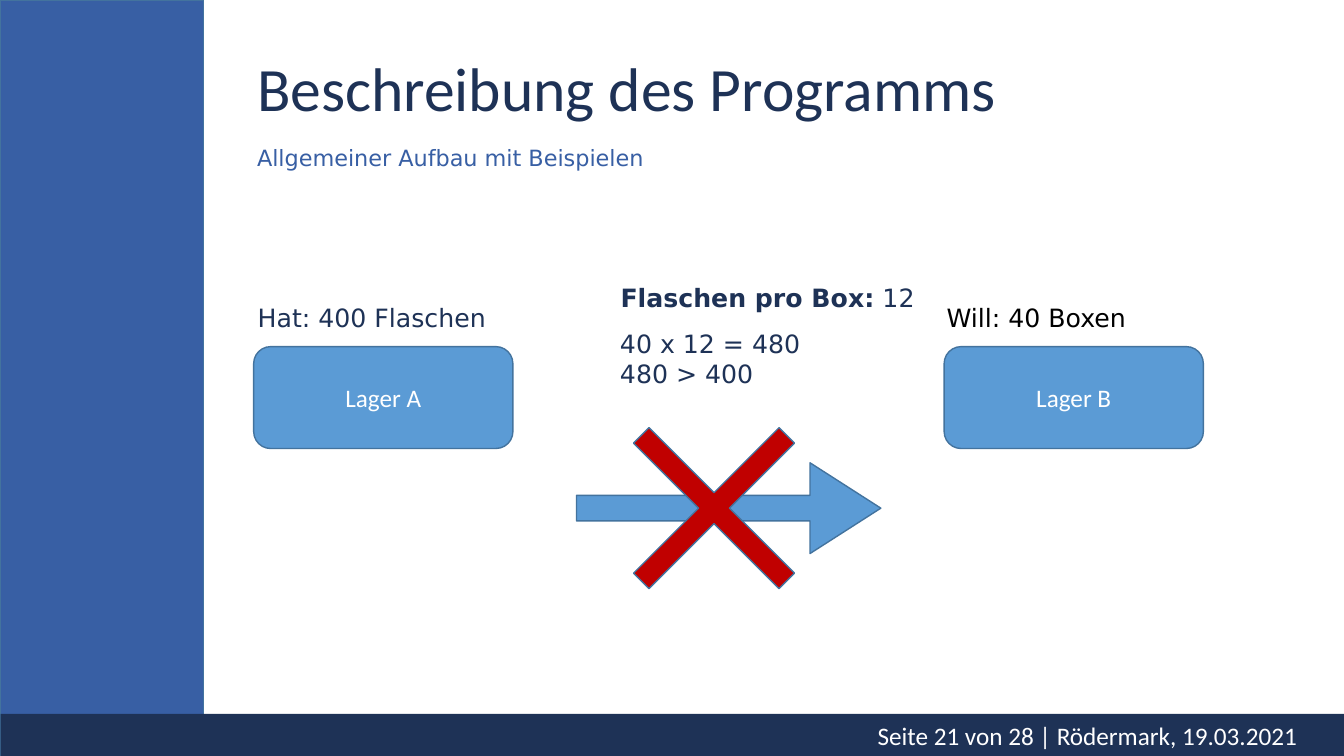
import pptx
import pptx.util
import pptx.dml.color
import pptx.enum.shapes
import pptx.enum.text
from lxml import etree

Pt = pptx.util.Pt
SHAPE = pptx.enum.shapes.MSO_SHAPE
ALIGN = pptx.enum.text.PP_ALIGN
ANCHOR = pptx.enum.text.MSO_ANCHOR

NAVY, BLUE, SKY, EDGE = "1E3256", "385FA4", "5B9BD5", "43739E"
RED, WHITE, BLACK = "C00000", "FFFFFF", "000000"
HEADING_FONT, TEXT_FONT = "Calibri", "DejaVu Sans"

TITLE = "Beschreibung des Programms"
SUBTITLE = "Allgemeiner Aufbau mit Beispielen"
FOOTER = "Seite 21 von 28 | Rödermark, 19.03.2021"
STORES = [("Lager A", 181.2), ("Lager B", 674.4)]  # name, left
# lines of (text, bold) runs, colour, (left, top, width, height)
NOTES = [
    ([[("Will: 40 Boxen", False)]], BLACK, (669, 212.6, 148, 29)),
    ([[("Hat: 400 Flaschen", False)]], NAVY, (177, 212.6, 181, 29)),
    ([[("Flaschen pro Box:", True), (" 12", False)]], NAVY, (436.2, 198, 227, 29)),
    ([[("40 x 12 = 480", False)], [("480 > 400", False)]], NAVY, (435.8, 231, 147, 51)),
]

WIDTH, HEIGHT = 960, 540
SIDEBAR_WIDTH, FOOTER_TOP = 145.6, 510
HEADING_LEFT, HEADING_WIDTH = 176.4, 758
STORE_TOP, STORE_WIDTH, STORE_HEIGHT = 247.6, 185.2, 72.8
ARROW_BOX = (411.8, 330.6, 217.4, 64.8)
CROSS_SIZE = 147
CROSS_CENTER_X = 510
CROSS_CENTER_Y = ARROW_BOX[1] + ARROW_BOX[3] / 2


def color(hex_value):
    return pptx.dml.color.RGBColor.from_string(hex_value)


def place(shape, box):
    shape.left, shape.top, shape.width, shape.height = map(Pt, box)


def style(paragraph, font_name, size, hex_value, align=ALIGN.LEFT):
    paragraph.alignment = align
    font = paragraph.font
    font.name, font.size = font_name, Pt(size)
    font.color.rgb = color(hex_value)


def add_block(kind, box, fill, edge=EDGE, adjustments=()):
    block = slide.shapes.add_shape(kind, *map(Pt, box))
    block.shadow.inherit = False
    block.fill.solid()
    block.fill.fore_color.rgb = color(fill)
    if edge:
        block.line.color.rgb = color(edge)
        block.line.width = Pt(1)
    else:
        block.line.fill.background()
    for index, value in enumerate(adjustments):
        block.adjustments[index] = value
    return block


def fill_heading(placeholder, text, box, font_name, size, hex_value):
    place(placeholder, box)
    frame = placeholder.text_frame
    frame.text = text
    frame.auto_size = pptx.enum.text.MSO_AUTO_SIZE.NONE
    paragraph = frame.paragraphs[0]
    properties = paragraph._p.get_or_add_pPr()
    properties.set("marL", "0")
    properties.set("indent", "0")
    etree.SubElement(properties, pptx.oxml.ns.qn("a:buNone"))
    paragraph.line_spacing = 0.9
    paragraph.space_before = Pt(0)
    style(paragraph, font_name, size, hex_value)


presentation = pptx.Presentation()
presentation.slide_width, presentation.slide_height = Pt(WIDTH), Pt(HEIGHT)
slide = presentation.slides.add_slide(presentation.slide_layouts[1])
title, subtitle = slide.placeholders

add_block(SHAPE.RECTANGLE, (0, 0, SIDEBAR_WIDTH, HEIGHT), BLUE)
add_block(SHAPE.RECTANGLE, (0.5, FOOTER_TOP, WIDTH - 0.5, HEIGHT - FOOTER_TOP), NAVY, None)

fill_heading(title, TITLE, (HEADING_LEFT, 32.4, HEADING_WIDTH, 65.6), HEADING_FONT, 44, NAVY)
title.text_frame.vertical_anchor = ANCHOR.MIDDLE
fill_heading(subtitle, SUBTITLE, (HEADING_LEFT, 101.6, HEADING_WIDTH, 43), TEXT_FONT, 16, BLUE)
subtitle.text_frame.vertical_anchor = ANCHOR.TOP

for name, left in STORES:
    store = add_block(SHAPE.ROUNDED_RECTANGLE, (left, STORE_TOP, STORE_WIDTH, STORE_HEIGHT), SKY)
    store.text_frame.text = name
    store.text_frame.vertical_anchor = ANCHOR.MIDDLE
    style(store.text_frame.paragraphs[0], HEADING_FONT, 18, WHITE, ALIGN.CENTER)

add_block(SHAPE.RIGHT_ARROW, ARROW_BOX, SKY, adjustments=(0.28, 0.78))
cross_box = (CROSS_CENTER_X - CROSS_SIZE / 2, CROSS_CENTER_Y - CROSS_SIZE / 2, CROSS_SIZE, CROSS_SIZE)
cross = add_block(SHAPE.CROSS, cross_box, RED, adjustments=(0.447,))
cross.rotation = 45

for lines, hex_value, box in NOTES:
    frame = slide.shapes.add_textbox(*map(Pt, box)).text_frame
    frame.word_wrap = False
    for index, runs in enumerate(lines):
        paragraph = frame.add_paragraph() if index else frame.paragraphs[0]
        style(paragraph, TEXT_FONT, 18, hex_value)
        for text, bold in runs:
            run = paragraph.add_run()
            run.text = text
            run.font.bold = bold

footer = slide.shapes.add_textbox(*map(Pt, (593.2, 510.6, 340.6, 29.4))).text_frame
footer.word_wrap = True
footer.vertical_anchor = ANCHOR.MIDDLE
footer.text = FOOTER
style(footer.paragraphs[0], HEADING_FONT, 18, WHITE, ALIGN.RIGHT)

presentation.save("out.pptx")
